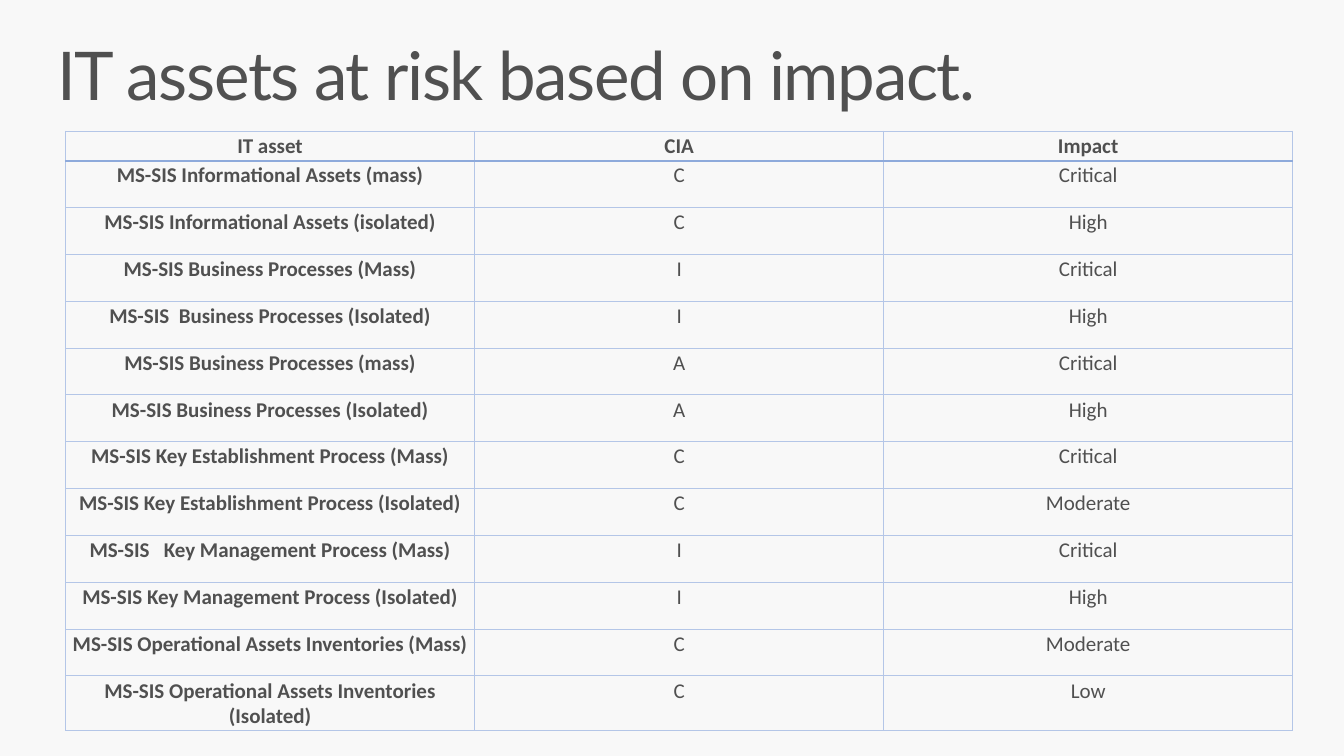
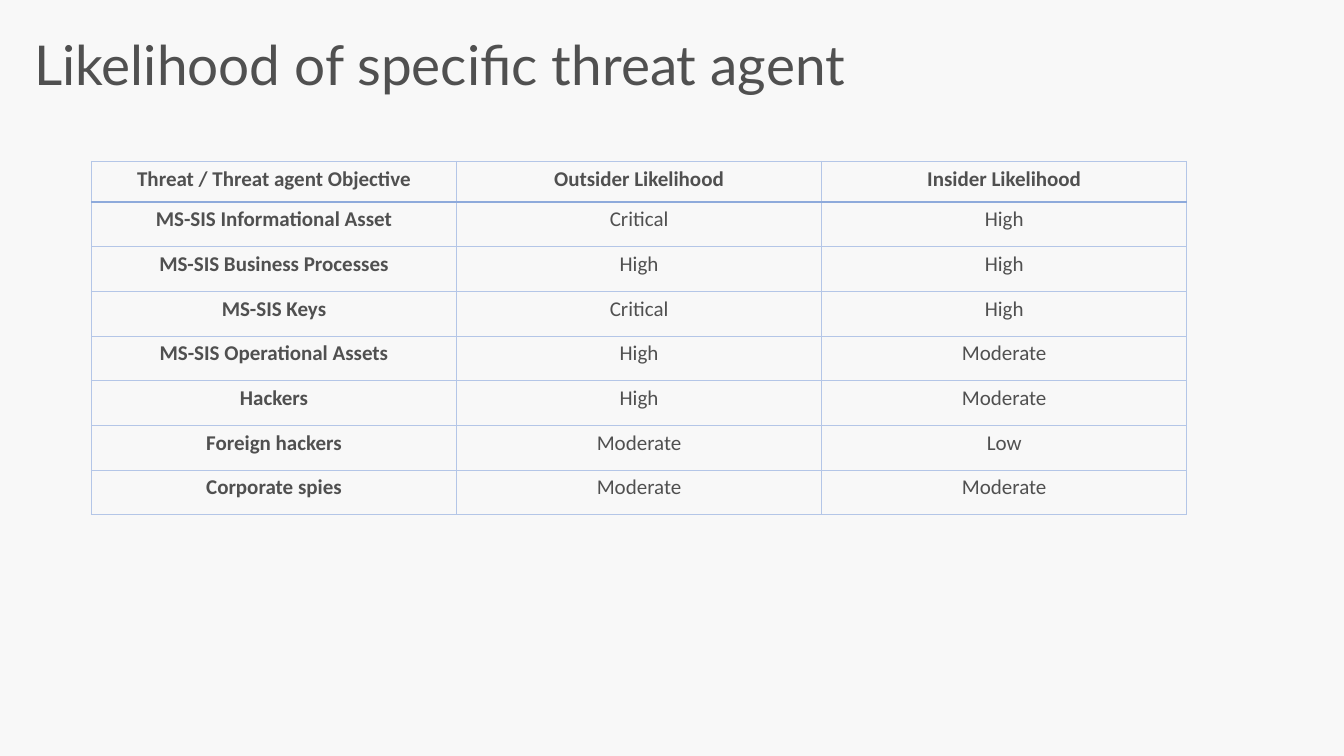
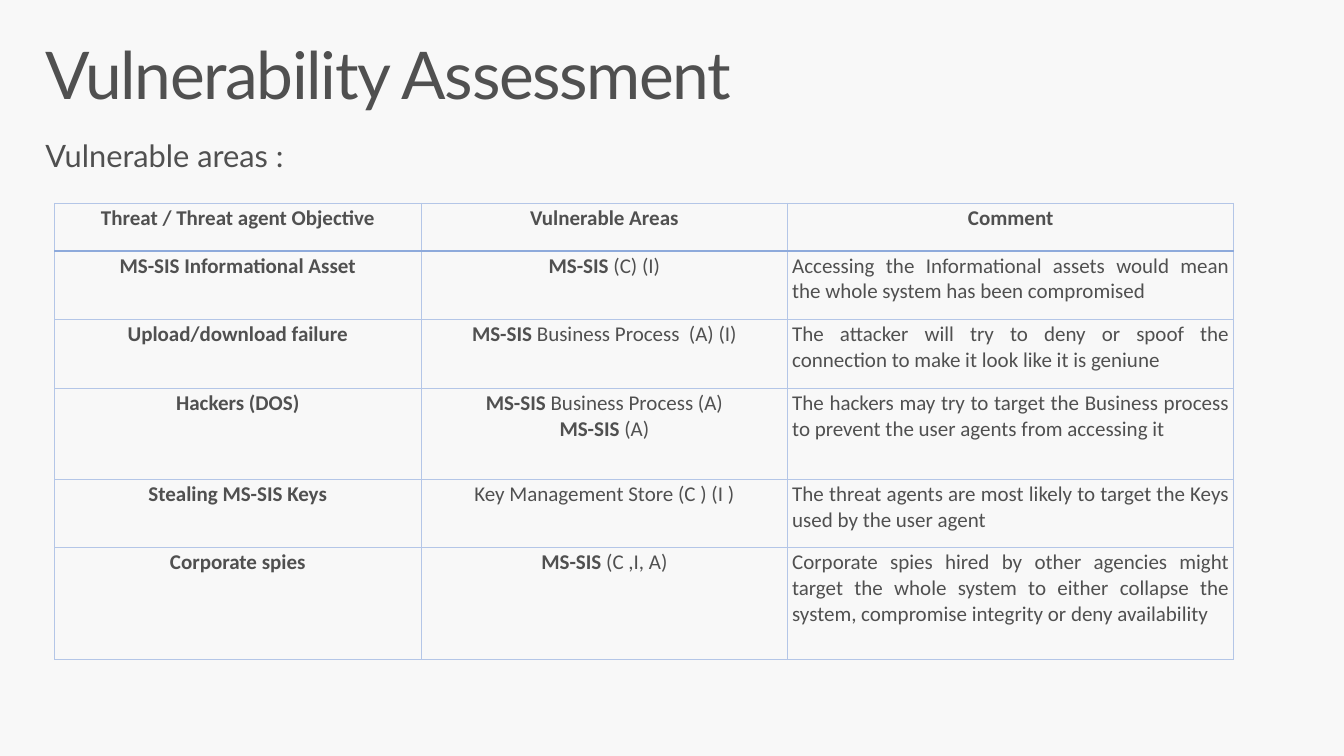
"""Build three risk assessment slides, each with a title and a table."""
from lxml.etree import SubElement
from pptx import Presentation
from pptx.dml.color import RGBColor
from pptx.enum.text import MSO_ANCHOR, PP_ALIGN
from pptx.oxml import parse_xml
from pptx.oxml.ns import nsdecls
from pptx.util import Pt

BACKGROUND = RGBColor(0xF8, 0xF8, 0xF8)
TEXT = RGBColor(0x50, 0x50, 0x50)
GRID = RGBColor(0xB4, 0xC6, 0xE7)
HEADER_RULE = RGBColor(0x8E, 0xAA, 0xDB)


def write_text(frame, text, size, font="Lato", bold=False, align=PP_ALIGN.LEFT,
               line_spacing=None, tracking=0, insets=(11.5, 7.2)):
    """Fill a text frame; parts between asterisks are bold."""
    frame.word_wrap = True
    frame.margin_left = frame.margin_right = Pt(insets[0])
    frame.margin_top = frame.margin_bottom = Pt(insets[1])
    frame.vertical_anchor = MSO_ANCHOR.TOP
    for number, line in enumerate(text.split("\n")):
        paragraph = frame.add_paragraph() if number else frame.paragraphs[0]
        paragraph.alignment = align
        if line_spacing:
            paragraph.line_spacing = line_spacing
        for index, part in enumerate(line.split("*")):
            if not part:
                continue
            run = paragraph.add_run()
            run.text = part
            run.font.name = font
            run.font.size = Pt(size)
            run.font.bold = bold or index % 2 == 1
            run.font.color.rgb = TEXT
            if tracking:
                run.font._element.set("spc", str(tracking))


def set_borders(cell, row_number):
    """Draw the grid around a cell, with a heavier rule under the header."""
    properties = cell._tc.get_or_add_tcPr()
    for position, side in enumerate("LRTB"):
        heavy = (row_number, side) in ((0, "B"), (1, "T"))
        color, width = (HEADER_RULE, 1.5) if heavy else (GRID, 0.75)
        line = parse_xml(f'<a:ln{side} {nsdecls("a")} w="{Pt(width)}"><a:solidFill>'
                         f'<a:srgbClr val="{color}"/></a:solidFill></a:ln{side}>')
        properties.insert(position, line)


CENTER, JUSTIFY = PP_ALIGN.CENTER, PP_ALIGN.JUSTIFY

SLIDES = [
    {
        "texts": [("IT assets at risk based on impact.", (29.5, 23, 900, 70.5), 48, -100)],
        "position": (46.8, 93.6),
        "columns": [292.2] * 3,
        "heights": [20.4] + [33.45] * 11 + [39.3],
        "insets": (3.2, 1.6),
        "last_align": CENTER,
        "rows": [
            ("IT asset", "CIA", "Impact"),
            ("MS-SIS Informational Assets (mass)", "C", "Critical"),
            ("MS-SIS Informational Assets (isolated)", "C", "High"),
            ("MS-SIS Business Processes (Mass)", "I", "Critical"),
            ("MS-SIS  Business Processes (Isolated)", "I", "High"),
            ("MS-SIS Business Processes (mass)", "A", "Critical"),
            ("MS-SIS Business Processes (Isolated)", "A", "High"),
            ("MS-SIS Key Establishment Process (Mass)", "C", "Critical"),
            ("MS-SIS Key Establishment Process (Isolated)", "C", "Moderate"),
            ("MS-SIS   Key Management Process (Mass)", "I", "Critical"),
            ("MS-SIS Key Management Process (Isolated)", "I", "High"),
            ("MS-SIS Operational Assets Inventories (Mass)", "C", "Moderate"),
            ("MS-SIS Operational Assets Inventories (Isolated)", "C", "Low"),
        ],
    },
    {
        "texts": [("Likelihood of specific threat agent", (13, 20.2, 917, 60), 39.2, 0)],
        "position": (65.3, 115.2),
        "columns": [260.8] * 3,
        "heights": [29.3] + [31.9] * 7,
        "insets": (6.8, 3.4),
        "last_align": CENTER,
        "rows": [
            ("Threat / Threat agent Objective", "Outsider Likelihood", "Insider Likelihood"),
            ("MS-SIS Informational Asset", "Critical", "High"),
            ("MS-SIS Business Processes", "High", "High"),
            ("MS-SIS Keys", "Critical", "High"),
            ("MS-SIS Operational Assets", "High", "Moderate"),
            ("Hackers", "High", "Moderate"),
            ("Foreign hackers", "Moderate", "Low"),
            ("Corporate spies", "Moderate", "Moderate"),
        ],
    },
    {
        "texts": [("Vulnerability Assessment", (21, 23, 918, 70.5), 47, -100),
                  ("Vulnerable areas :", (21, 93.6, 917, 40), 22, 0)],
        "position": (38.9, 145.3),
        "columns": [261.9, 261.9, 318.5],
        "heights": [34, 49, 49, 65, 49, 80],
        "insets": (3.2, 1.6),
        "last_align": JUSTIFY,
        "rows": [
            ("Threat / Threat agent Objective", "Vulnerable Areas", "Comment"),
            ("MS-SIS Informational Asset", "*MS-SIS* (C) (I)",
             "Accessing the Informational assets would mean the whole system has been compromised"),
            ("Upload/download failure", "*MS-SIS* Business Process  (A) (I)",
             "The attacker will try to deny or spoof the connection to make it look like it is geniune"),
            ("Hackers (DOS)", "*MS-SIS* Business Process (A)\n*MS-SIS* (A)",
             "The hackers may try to target the Business process to prevent the user agents "
             "from accessing it"),
            ("Stealing MS-SIS Keys", "Key Management Store (C ) (I )",
             "The threat agents are most likely to target the Keys used by the user agent"),
            ("Corporate spies", "*MS-SIS* (C ,I, A)",
             "Corporate spies hired by other agencies might target the whole system to either "
             "collapse the system, compromise integrity or deny availability"),
        ],
    },
]

presentation = Presentation()
presentation.slide_width, presentation.slide_height = Pt(960), Pt(540)
master_fill = presentation.slide_master.background.fill
master_fill.solid()
master_fill.fore_color.rgb = BACKGROUND

for content in SLIDES:
    slide = presentation.slides.add_slide(presentation.slide_layouts[6])
    for text, box, size, tracking in content["texts"]:
        shape = slide.shapes.add_textbox(*map(Pt, box))
        write_text(shape.text_frame, text, size, line_spacing=0.9, tracking=tracking)

    rows, columns, heights = content["rows"], content["columns"], content["heights"]
    left, top = content["position"]
    table = slide.shapes.add_table(len(rows), len(columns), Pt(left), Pt(top),
                                   Pt(sum(columns)), Pt(sum(heights))).table
    table.first_row = table.horz_banding = False
    for column, width in zip(table.columns, columns):
        column.width = Pt(width)
    for row_number, values in enumerate(rows):
        table.rows[row_number].height = Pt(heights[row_number])
        for column_number, value in enumerate(values):
            cell = table.cell(row_number, column_number)
            cell.fill.background()
            set_borders(cell, row_number)
            is_body_end = row_number > 0 and column_number == len(columns) - 1
            write_text(cell.text_frame, value, 15, font="Calibri",
                       bold=row_number == 0 or column_number == 0,
                       align=content["last_align"] if is_body_end else CENTER)
            cell.margin_left = cell.margin_right = Pt(content["insets"][0])
            cell.margin_top = cell.margin_bottom = Pt(content["insets"][1])

presentation.save("out.pptx")
